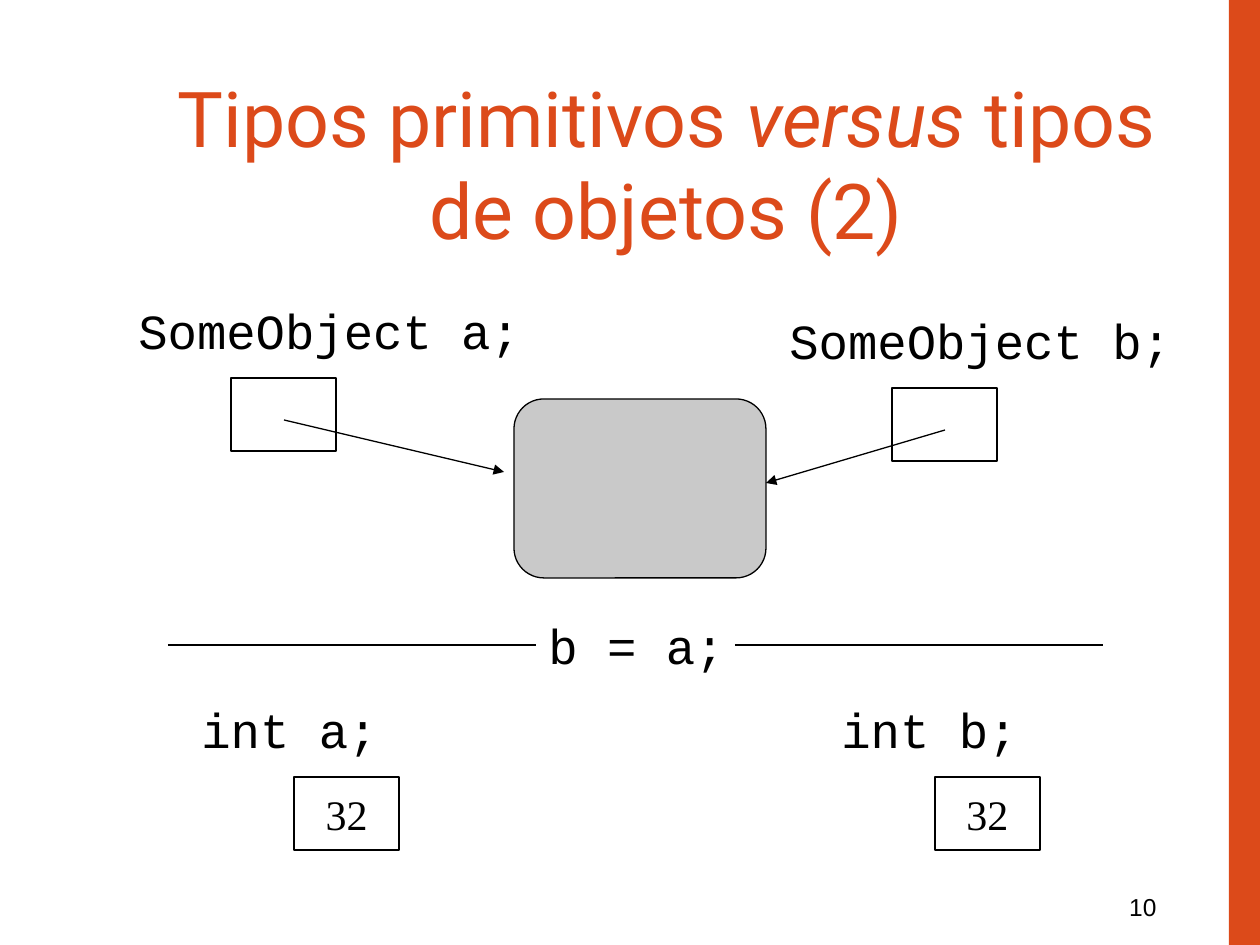
from pptx import Presentation
from pptx.dml.color import RGBColor
from pptx.enum.shapes import MSO_CONNECTOR, MSO_SHAPE
from pptx.enum.text import MSO_ANCHOR, MSO_AUTO_SIZE, PP_ALIGN
from pptx.oxml.ns import qn
from pptx.util import Emu, Pt
from lxml.etree import SubElement

EMU_PER_PX = 914400 / 126
BLACK = "000000"
ORANGE = "DC4A1A"
GREY = "C9C9C9"
CELL_WIDTH, CELL_HEIGHT = 105, 73
CELL_DROP = 84


def px(*lengths):
    return [Emu(round(length * EMU_PER_PX)) for length in lengths]


def color(value):
    return RGBColor.from_string(value)


def style_font(font, name, size, value=BLACK):
    font.name = name
    font.size = Pt(size)
    font.color.rgb = color(value)


def add_title(page, spans):
    title = page.shapes.title
    title.left, title.top, title.width, title.height = px(136, 84, 1061, 158)
    frame = title.text_frame
    frame.auto_size = MSO_AUTO_SIZE.NONE
    frame.vertical_anchor = MSO_ANCHOR.MIDDLE
    para = frame.paragraphs[0]
    para.alignment = PP_ALIGN.CENTER
    style_font(para.font, "Roboto", 44, ORANGE)
    for text, italic in spans:
        span = para.add_run()
        span.text = text
        span.font.italic = italic
        style_font(span.font, "Roboto", 44, ORANGE)


def add_text(page, text, bounds, name="Courier New", size=28, align=PP_ALIGN.LEFT):
    box = page.shapes.add_textbox(*px(*bounds))
    box.text_frame.word_wrap = True
    para = box.text_frame.paragraphs[0]
    para.text = text
    para.alignment = align
    style_font(para.font, name, size)


def add_box(page, bounds, kind=MSO_SHAPE.RECTANGLE, fill=None, outline=BLACK):
    box = page.shapes.add_shape(kind, *px(*bounds))
    box.shadow.inherit = False
    if fill:
        box.fill.solid()
        box.fill.fore_color.rgb = color(fill)
    else:
        box.fill.background()
    if outline:
        box.line.color.rgb = color(outline)
        box.line.width = Pt(0.75)
    else:
        box.line.fill.background()
    return box


def add_line(page, ends, arrow=False):
    line = page.shapes.add_connector(MSO_CONNECTOR.STRAIGHT, *px(*ends))
    line.line.color.rgb = color(BLACK)
    line.line.width = Pt(0.75)
    if arrow:
        SubElement(line.line._get_or_add_ln(), qn("a:tailEnd"), type="triangle")
    SubElement(line._element.spPr, qn("a:effectLst"))


def add_variable(page, declaration, left, top, width, cell_left, value=None):
    add_text(page, declaration, (left, top, width, 72))
    cell = add_box(page, (cell_left, top + CELL_DROP, CELL_WIDTH, CELL_HEIGHT))
    if value:
        frame = cell.text_frame
        frame.word_wrap = False
        frame.vertical_anchor = MSO_ANCHOR.MIDDLE
        para = frame.paragraphs[0]
        para.text = value
        para.alignment = PP_ALIGN.CENTER
        style_font(para.font, "Times New Roman", 24)


def main():
    deck = Presentation()
    deck.slide_width, deck.slide_height = px(1260, 945)
    page = deck.slides.add_slide(deck.slide_layouts[5])

    add_box(page, (1229, 0, 31, 945), fill=ORANGE, outline=None)
    add_title(page, [("Tipos primitivos ", False), ("versus", True),
                     (" tipos de objetos (2)", False)])
    add_text(page, "10", (1103, 886, 66, 42), "Arial", 14, PP_ALIGN.RIGHT)

    add_box(page, (514, 399, 252, 179), MSO_SHAPE.ROUNDED_RECTANGLE, GREY)
    add_variable(page, "SomeObject a;", 126, 294, 494, 231)
    add_variable(page, "SomeObject b;", 777, 304, 410, 892)
    add_line(page, (284, 420, 504, 472), arrow=True)
    add_line(page, (945, 430, 766, 483), arrow=True)

    add_text(page, "b = a;", (536, 609, 284, 72))
    for left in (168, 735):
        add_line(page, (left, 645, left + 368, 645))

    add_variable(page, "int a;", 189, 693, 284, 294, "32")
    add_variable(page, "int b;", 829, 693, 284, 935, "32")

    deck.save("out.pptx")


if __name__ == "__main__":
    main()
